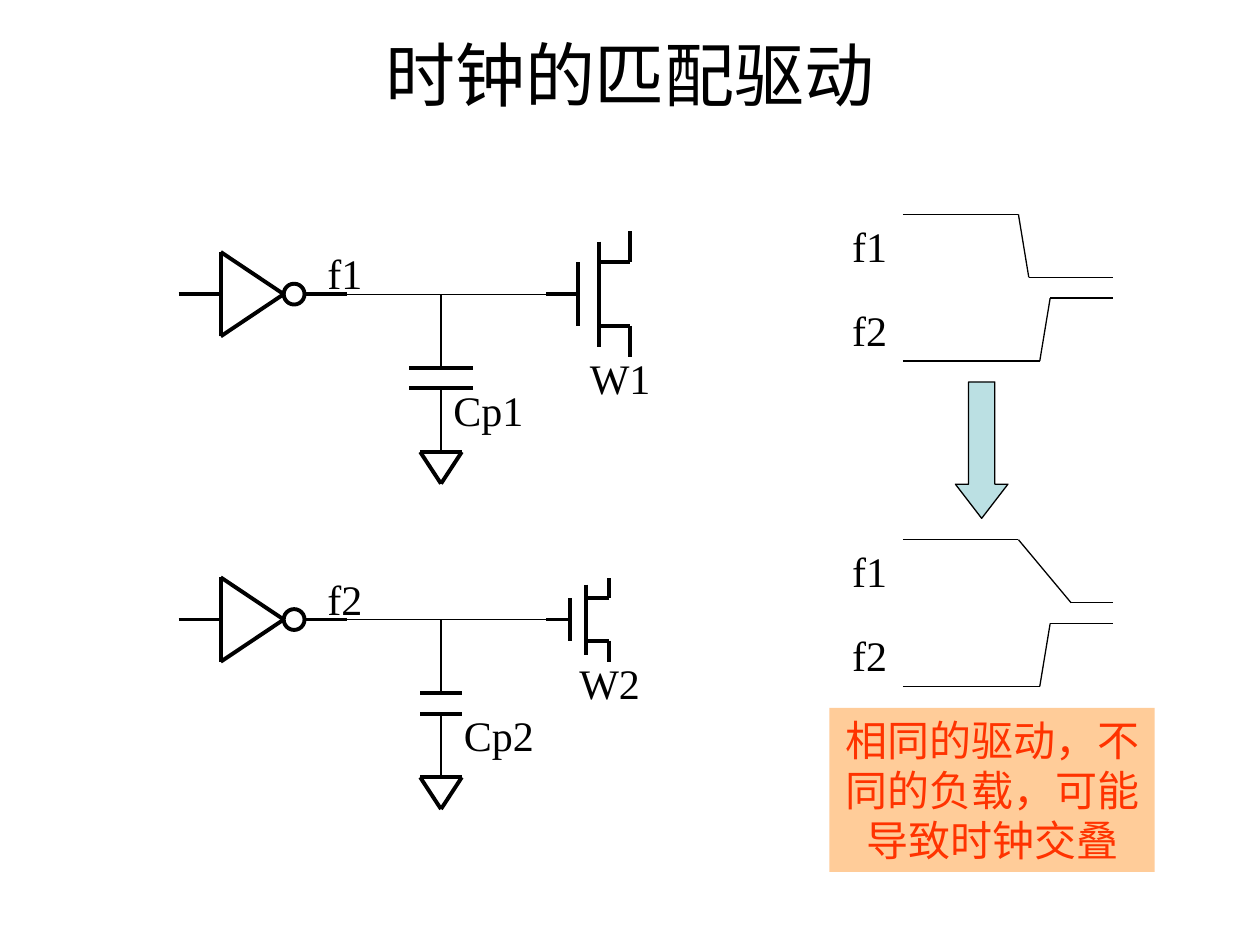
from dataclasses import dataclass
from itertools import pairwise

from lxml.etree import SubElement
from pptx import Presentation
from pptx.dml.color import RGBColor
from pptx.enum.shapes import MSO_CONNECTOR as Connector, MSO_SHAPE as Shape
from pptx.enum.text import MSO_ANCHOR as Anchor, PP_ALIGN as Align
from pptx.oxml.ns import qn
from pptx.shapes.shapetree import _BaseGroupShapes as Shapes
from pptx.util import Cm, Pt

Point = tuple[float, float]
Box = tuple[float, float, float, float]


@dataclass(frozen=True)
class Theme:
    ink: RGBColor = RGBColor.from_string("000000")
    arrow: RGBColor = RGBColor.from_string("BBE0E3")
    note_fill: RGBColor = RGBColor.from_string("FFCC99")
    note_text: RGBColor = RGBColor.from_string("FF3300")
    title_font: str = "Arial"
    body_font: str = "Times New Roman"
    title_size: Pt = Pt(40)
    body_size: Pt = Pt(24)
    thick: Pt = Pt(2.25)
    thin: Pt = Pt(0.75)


@dataclass(frozen=True)
class Circuit:
    """One clock driver with its load; lengths in cm."""
    clock: str
    axis: float
    plate_half: float
    capacitor: str
    capacitor_left: float
    transistor: str
    transistor_label: Point  # left edge, drop below the axis
    scale_x: float
    scale_y: float


@dataclass(frozen=True)
class Timing:
    """A pair of clock edges; f1 falls until fall_end."""
    top: float
    fall_end: float


THEME = Theme()
ROW_STEP = 6.56
FIRST_AXIS, FIRST_TIMING = 5.93, 4.32
LABEL_HEIGHT = 1.27
DRIVER_OUT, NODE, GATE = 6.99, 8.89, 11.01
SWING, CLOCK_GAP = 1.27, 1.69

CIRCUITS = [
    Circuit("f1", FIRST_AXIS, 0.64, "Cp1", 8.89, "W1", (11.64, 1.06), 1, 1),
    Circuit("f2", FIRST_AXIS + ROW_STEP, 0.42, "Cp2", 9.1, "W2", (11.43, 0.64),
            3 / 4, 2 / 3),
]
TIMINGS = [Timing(FIRST_TIMING, 20.74), Timing(FIRST_TIMING + ROW_STEP, 21.59)]


def draw_line(shapes: Shapes, start: Point, end: Point, width: Pt) -> None:
    line = shapes.add_connector(Connector.STRAIGHT, *map(Cm, start + end))
    line.line.color.rgb = THEME.ink
    line.line.width = width
    SubElement(line._element.spPr, qn("a:effectLst"))


def draw_trace(shapes: Shapes, points: list[Point], width: Pt) -> None:
    for start, end in pairwise(points):
        draw_line(shapes, start, end, width)


def draw_shape(shapes: Shapes, kind: Shape, box: Box, fill: RGBColor | None,
               outline: Pt | None):
    shape = shapes.add_shape(kind, *map(Cm, box))
    shape.shadow.inherit = False
    if fill is None:
        shape.fill.background()
    else:
        shape.fill.solid()
        shape.fill.fore_color.rgb = fill
    if outline is None:
        shape.line.fill.background()
    else:
        shape.line.color.rgb = THEME.ink
        shape.line.width = outline
    return shape


def write(shape, text: str, font: str, size: Pt, color: RGBColor,
          align: Align = Align.LEFT, anchor: Anchor = Anchor.TOP) -> None:
    frame = shape.text_frame
    frame.text = text
    frame.word_wrap = True
    frame.vertical_anchor = anchor
    paragraph = frame.paragraphs[0]
    paragraph.alignment = align
    style = paragraph.runs[0].font
    style.name, style.size, style.color.rgb = font, size, color


def draw_label(shapes: Shapes, text: str, left: float, top: float, width: float) -> None:
    label = shapes.add_textbox(*map(Cm, (left, top, width, LABEL_HEIGHT)))
    write(label, text, THEME.body_font, THEME.body_size, THEME.ink)


def draw_inverter(shapes: Shapes, axis: float) -> None:
    parts = shapes.add_group_shape().shapes
    back, tip, half, bubble = 4.45, 5.72, 0.85, 0.42
    top, nose, bottom = (back, axis - half), (tip, axis), (back, axis + half)
    draw_trace(parts, [top, nose, bottom, top], THEME.thick)
    draw_shape(parts, Shape.OVAL, (tip, axis - bubble / 2, bubble, bubble),
               None, THEME.thick)
    draw_line(parts, (3.6, axis), (back, axis), THEME.thick)
    draw_line(parts, (tip + bubble, axis), (DRIVER_OUT, axis), THEME.thick)


def draw_capacitor(shapes: Shapes, axis: float, half: float) -> None:
    upper, lower, ground = axis + 1.48, axis + 1.9, axis + 3.18
    for plate in (upper, lower):
        draw_line(shapes, (NODE - half, plate), (NODE + half, plate), THEME.thick)
    draw_line(shapes, (NODE, axis), (NODE, upper), THEME.thin)
    draw_line(shapes, (NODE, lower), (NODE, ground), THEME.thin)
    left, right = (NODE - 0.42, ground), (NODE + 0.42, ground)
    draw_trace(shapes, [left, right, (NODE, ground + 0.64), left], THEME.thick)


def draw_transistor(shapes: Shapes, circuit: Circuit) -> None:
    parts = shapes.add_group_shape().shapes

    def at(x: float, y: float) -> Point:
        return GATE + x * circuit.scale_x, circuit.axis + y * circuit.scale_y

    draw_line(parts, at(0, 0), at(0.64, 0), THEME.thick)
    draw_line(parts, at(0.64, -0.64), at(0.64, 0.64), THEME.thick)
    draw_line(parts, at(1.06, -1.06), at(1.06, 1.06), THEME.thick)
    for side in (-1, 1):
        draw_trace(parts, [at(1.06, side * 0.64), at(1.69, side * 0.64),
                           at(1.69, side * 1.27)], THEME.thick)


def draw_circuit(shapes: Shapes, circuit: Circuit) -> None:
    axis = circuit.axis
    draw_inverter(shapes, axis)
    draw_capacitor(shapes, axis, circuit.plate_half)
    draw_transistor(shapes, circuit)
    draw_trace(shapes, [(DRIVER_OUT, axis), (NODE, axis), (GATE, axis)], THEME.thin)
    draw_label(shapes, circuit.clock, 6.35, axis - 1.06, 1.69)
    draw_label(shapes, circuit.capacitor, circuit.capacitor_left, axis + 1.69, 2.12)
    left, drop = circuit.transistor_label
    draw_label(shapes, circuit.transistor, left, axis + drop, 2.12)


def draw_timing(shapes: Shapes, timing: Timing) -> None:
    start, end = 18.2, 22.44
    f1_high, f2_high = timing.top, timing.top + CLOCK_GAP
    f1_low, f2_low = f1_high + SWING, f2_high + SWING
    draw_trace(shapes, [(start, f1_high), (20.53, f1_high),
                        (timing.fall_end, f1_low), (end, f1_low)], THEME.thin)
    draw_trace(shapes, [(start, f2_low), (20.96, f2_low),
                        (21.17, f2_high), (end, f2_high)], THEME.thin)
    for clock, top in (("f1", f1_high), ("f2", f2_high)):
        draw_label(shapes, clock, 16.93, top, 1.27)


def main() -> None:
    deck = Presentation()
    deck.slide_width, deck.slide_height = Cm(25.4), Cm(19.05)
    shapes = deck.slides.add_slide(deck.slide_layouts[6]).shapes

    # Title
    title = shapes.add_textbox(Cm(1.9), Cm(0.85), Cm(21.6), Cm(1.27))
    write(title, "时钟的匹配驱动", THEME.title_font, THEME.title_size, THEME.ink,
          Align.CENTER, Anchor.MIDDLE)

    # Drivers and their loads
    for circuit in CIRCUITS:
        draw_circuit(shapes, circuit)

    # Clock edges before and after loading
    for timing in TIMINGS:
        draw_timing(shapes, timing)
    arrow = draw_shape(shapes, Shape.DOWN_ARROW, (19.26, 7.7, 1.06, 2.75),
                       THEME.arrow, THEME.thin)
    arrow.adjustments[0], arrow.adjustments[1] = 0.5, 0.65

    # Conclusion
    note = draw_shape(shapes, Shape.RECTANGLE, (16.72, 14.27, 6.56, 3.31),
                      THEME.note_fill, None)
    write(note, "相同的驱动，不同的负载，可能导致时钟交叠", THEME.body_font,
          THEME.body_size, THEME.note_text, Align.CENTER)

    deck.save("out.pptx")


if __name__ == "__main__":
    main()
